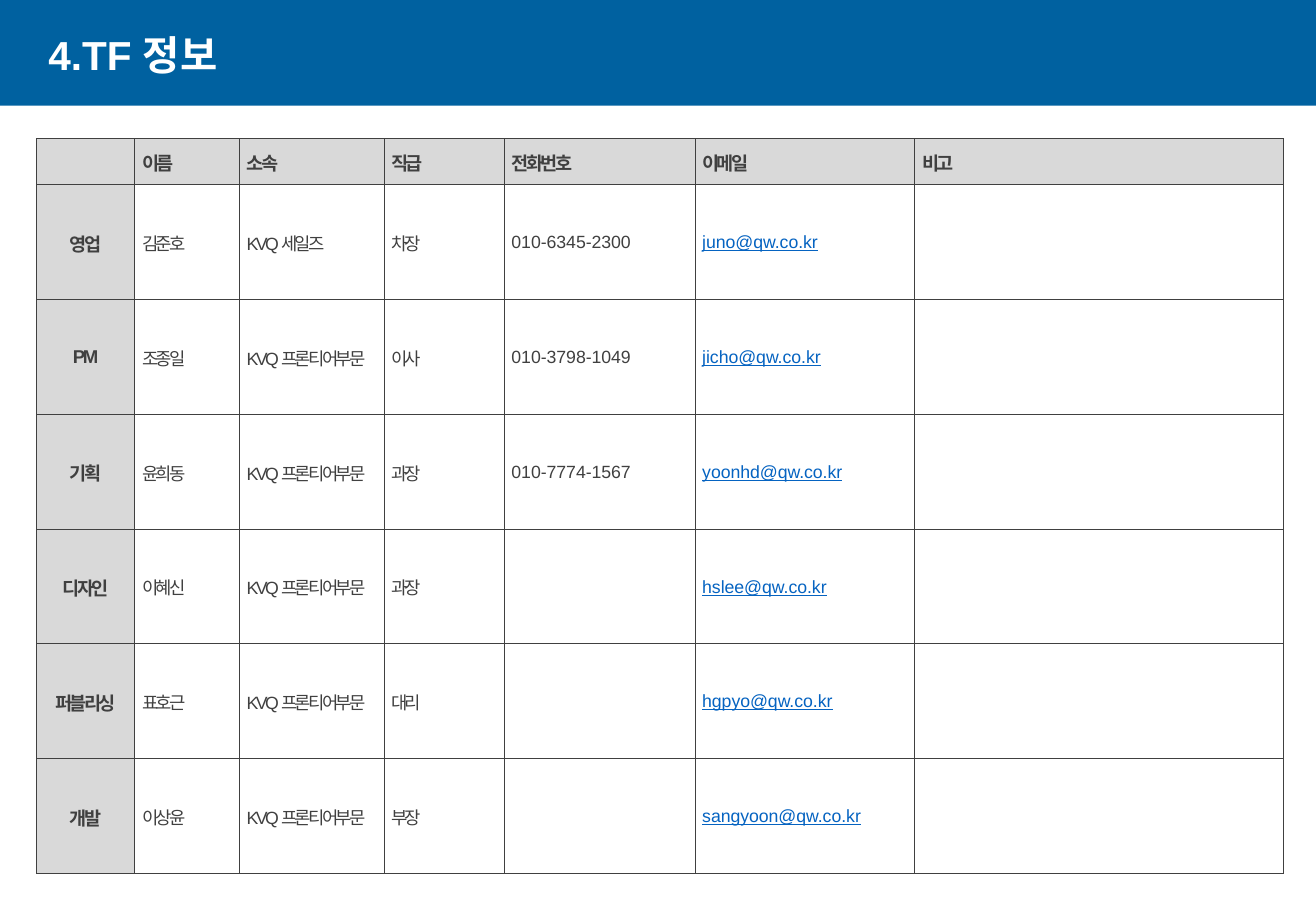
from dataclasses import dataclass

from lxml import etree
from pptx import Presentation, util as u
from pptx.dml.color import RGBColor
from pptx.enum import shapes, text
from pptx.oxml.ns import qn


@dataclass(frozen=True)
class Theme:
    font: str = "Arial"
    banner: str = "0061A0"
    title: str = "FFFFFF"
    ink: str = "404040"
    link: str = "0563C1"
    label_fill: str = "D9D9D9"
    title_size: float = 24
    label_size: float = 11
    body_size: float = 10.5
    tight: float = -1.5
    border: float = 0.5


THEME = Theme()
SLIDE_W, SLIDE_H = 1083, 750
COLUMN_WIDTHS = [81, 86, 119, 99, 157, 181, 303]
TABLE_H, HEADER_H = 605, 38
PHONE, EMAIL = 4, 5
HEADINGS = ["", "이름", "소속", "직급", "전화번호", "이메일", "비고"]
MEMBERS = [
    ["영업", "김준호", "KVQ 세일즈", "차장", "010-6345-2300", "juno@qw.co.kr", ""],
    ["PM", "조종일", "KVQ 프론티어부문", "이사", "010-3798-1049", "jicho@qw.co.kr", ""],
    ["기획", "윤희동", "KVQ 프론티어부문", "과장", "010-7774-1567", "yoonhd@qw.co.kr", ""],
    ["디자인", "이혜신", "KVQ 프론티어부문", "과장", "", "hslee@qw.co.kr", ""],
    ["퍼블리싱", "표호근", "KVQ 프론티어부문", "대리", "", "hgpyo@qw.co.kr", ""],
    ["개발", "이상윤", "KVQ 프론티어부문", "부장", "", "sangyoon@qw.co.kr", ""],
]


def px(n):
    """100 px to the inch."""
    return u.Emu(round(n * 9144))


def add_run(paragraph, words, size, color, bold=False, underline=False, spacing=0):
    run = paragraph.add_run()
    run.text = words
    font = run.font
    font.name, font.size = THEME.font, u.Pt(size)
    font.bold, font.underline = bold, underline
    font.color.rgb = RGBColor.from_string(color)
    run._r.get_or_add_rPr().set("spc", str(round(spacing * 100)))


def set_borders(cell):
    properties = cell._tc.get_or_add_tcPr()
    for i, side in enumerate(("lnL", "lnR", "lnT", "lnB")):
        line = etree.Element(qn(f"a:{side}"), w=str(u.Pt(THEME.border)))
        fill = etree.SubElement(line, qn("a:solidFill"))
        etree.SubElement(fill, qn("a:srgbClr"), val=THEME.ink)
        properties.insert(i, line)


def add_banner(slide, left, top, width, height):
    # Blue band
    band = slide.shapes.add_shape(
        shapes.MSO_SHAPE.RECTANGLE, px(left), px(top), px(width), px(height))
    band.shadow.inherit = False
    band.fill.solid()
    band.fill.fore_color.rgb = RGBColor.from_string(THEME.banner)
    band.line.fill.background()

    # Title
    title = slide.shapes.add_textbox(
        px(left + 30), px(top + 25), px(934), px(45)).text_frame
    title.word_wrap = True
    title.vertical_anchor = text.MSO_ANCHOR.MIDDLE
    title.paragraphs[0].line_spacing = 0.9
    add_run(title.paragraphs[0], "4.TF 정보", THEME.title_size, THEME.title, bold=True)


def fill_cell(cell, words, row, column):
    is_label = row == 0 or column == 0
    cell.margin_left = cell.margin_right = px(6)
    cell.margin_top = cell.margin_bottom = 0
    cell.vertical_anchor = text.MSO_ANCHOR.MIDDLE
    if is_label:
        cell.fill.solid()
        cell.fill.fore_color.rgb = RGBColor.from_string(THEME.label_fill)
    else:
        cell.fill.background()
    set_borders(cell)
    if not words:
        return

    paragraph = cell.text_frame.paragraphs[0]
    paragraph.line_spacing = 1.07
    if row == 0:
        paragraph.alignment = text.PP_ALIGN.JUSTIFY
    elif column == 0:
        paragraph.alignment = text.PP_ALIGN.CENTER
    is_email = column == EMAIL and not is_label
    is_latin = column in (PHONE, EMAIL) and not is_label
    add_run(paragraph, words,
            THEME.label_size if is_label else THEME.body_size,
            THEME.link if is_email else THEME.ink,
            bold=is_label, underline=is_email,
            spacing=0 if is_latin else THEME.tight)


def add_member_table(slide, left, top, height):
    rows = [HEADINGS] + MEMBERS
    member_height = (height - HEADER_H) / len(MEMBERS)
    members = slide.shapes.add_table(
        len(rows), len(HEADINGS), px(left), px(top),
        px(sum(COLUMN_WIDTHS)), px(height)).table
    members.first_row = members.horz_banding = False
    for column, width in zip(members.columns, COLUMN_WIDTHS):
        column.width = px(width)
    for r, row in enumerate(rows):
        members.rows[r].height = px(member_height if r else HEADER_H)
        for c, words in enumerate(row):
            fill_cell(members.cell(r, c), words, r, c)


def main():
    deck = Presentation()
    deck.slide_width, deck.slide_height = px(SLIDE_W), px(SLIDE_H)
    slide = deck.slides.add_slide(deck.slide_layouts[6])
    add_banner(slide, 0, 0, SLIDE_W, 87)
    add_member_table(slide, 30, 114, TABLE_H)
    deck.save("out.pptx")


if __name__ == "__main__":
    main()
